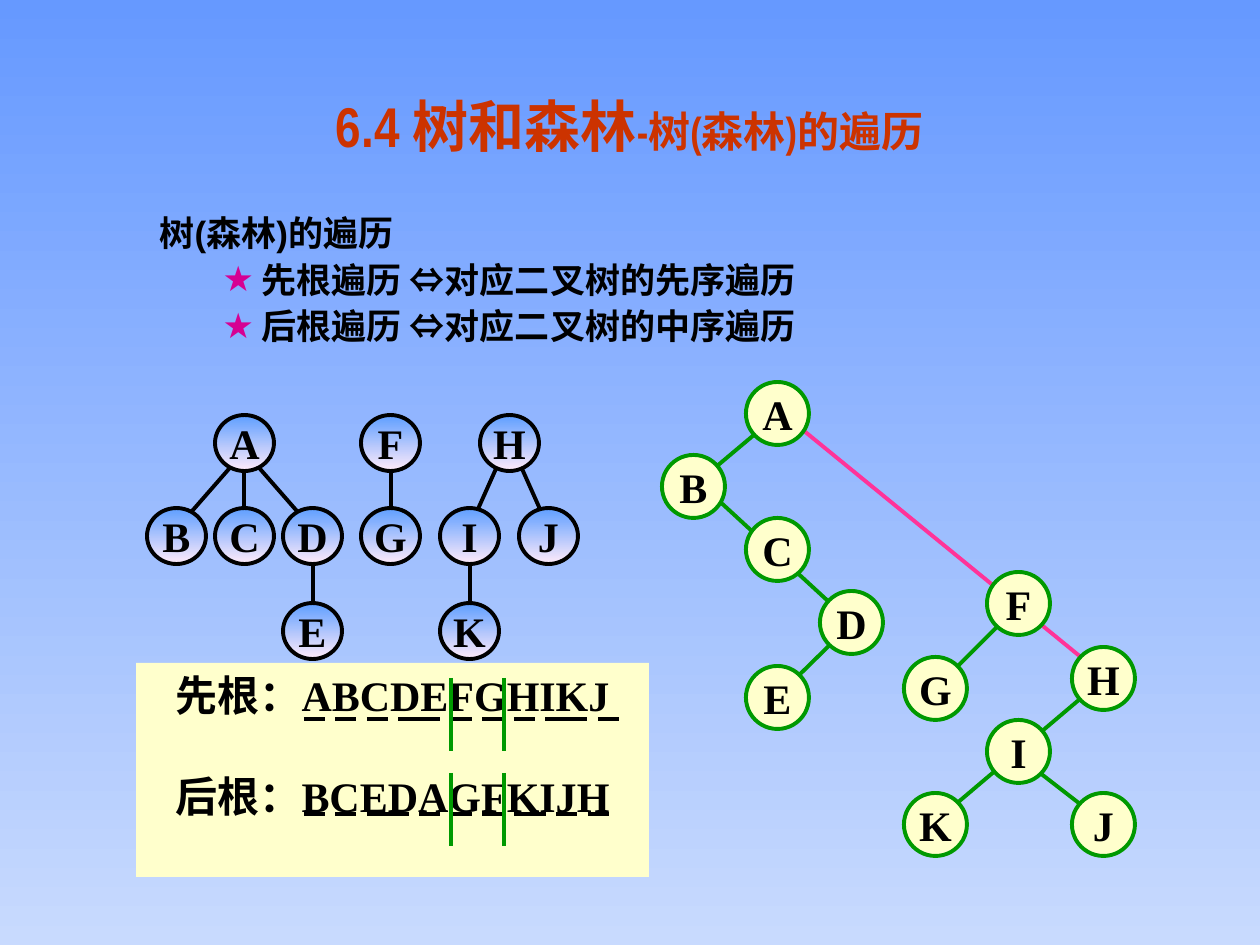
import dataclasses

import lxml.etree
import pptx
import pptx.dml.color
import pptx.enum.dml
import pptx.enum.shapes
import pptx.enum.text
import pptx.oxml.ns
import pptx.util

SCALE = 914400 / 126
Align = pptx.enum.text.PP_ALIGN
Anchor = pptx.enum.text.MSO_ANCHOR
Shape = pptx.enum.shapes.MSO_SHAPE


@dataclasses.dataclass(frozen=True)
class Theme:
    """Colours, fonts and type sizes of the slide."""
    sky: tuple = ("6699FF", "C8DAFE")
    ball: tuple = ("5E9EFF", "FFEBFA")
    cream: str = "FFFFCC"
    ink: str = "000000"
    green: str = "009900"
    pink: str = "FF3399"
    star: str = "D60093"
    red: str = "CC3300"
    serif: str = "Times New Roman"
    sans: str = "Arial"
    narrow: str = "Arial Narrow"
    head: int = 32
    node: int = 24
    body: int = 20
    line: float = 2.25


THEME = Theme()


def px(*vals):
    """Turn px lengths into EMU."""
    return [pptx.util.Emu(round(val * SCALE)) for val in vals]


def rgb(code):
    """Return a colour from its hex code."""
    return pptx.dml.color.RGBColor.from_string(code)


def paint(fill, hue):
    """Fill with one colour, or from top to bottom with a pair."""
    if isinstance(hue, str):
        fill.solid()
        fill.fore_color.rgb = rgb(hue)
        return
    fill.gradient()
    fill.gradient_angle = 270
    for stop, code in zip(fill.gradient_stops, hue):
        stop.color.rgb = rgb(code)


def style(run, size, face, hue):
    """Format a bold run."""
    run.font.size = pptx.util.Pt(size)
    run.font.name = face
    run.font.bold = True
    run.font.color.rgb = rgb(hue)


def place(item, box):
    """Move and size a placeholder."""
    item.left, item.top, item.width, item.height = px(*box)
    item.text_frame.auto_size = pptx.enum.text.MSO_AUTO_SIZE.NONE


def link(shapes, box, ends, hue):
    """Draw a straight line between two points of a box."""
    x, y, (a, b, c, d) = box[0], box[1], ends
    kind = pptx.enum.shapes.MSO_CONNECTOR.STRAIGHT
    line = shapes.add_connector(kind, *px(x + a, y + b, x + c, y + d))
    line.line.color.rgb = rgb(hue)
    line.line.width = pptx.util.Pt(THEME.line)
    lxml.etree.SubElement(line._element.spPr, pptx.oxml.ns.qn("a:effectLst"))


def title(item, box):
    """Fill the title in two type sizes."""
    place(item, box)
    frame = item.text_frame
    frame.vertical_anchor = Anchor.MIDDLE
    para = frame.paragraphs[0]
    para.alignment = Align.CENTER
    for text, size in (("6.4 树和森林", THEME.head), ("-树(森林)的遍历", THEME.node)):
        run = para.add_run()
        run.text = text
        style(run, size, THEME.narrow, THEME.red)


def bullet(para, left, hang, sign=None):
    """Set the indent of a paragraph and its star, if any."""
    props = para._p.get_or_add_pPr()
    props.set("marL", str(px(left)[0]))
    props.set("indent", str(px(-hang)[0]))
    name = pptx.oxml.ns.qn
    if sign is None:
        lxml.etree.SubElement(props, name("a:buNone"))
        return
    tint = lxml.etree.SubElement(props, name("a:buClr"))
    lxml.etree.SubElement(tint, name("a:srgbClr"), val=THEME.star)
    lxml.etree.SubElement(props, name("a:buFont"), typeface=THEME.sans)
    lxml.etree.SubElement(props, name("a:buChar"), char=sign)


def body(item, box):
    """Fill the list of traversals."""
    place(item, box)
    frame = item.text_frame
    serif, sans = THEME.serif, THEME.sans
    rows = [[("树(森林)的遍历", sans)]]
    for root, order in (("先根", "先序"), ("后根", "中序")):
        rows.append([(f"{root}遍历 ", serif), ("⇔", sans),
                     (f"对应二叉树的{order}遍历", serif)])
    for rank, row in enumerate(rows):
        para = frame.add_paragraph() if rank else frame.paragraphs[0]
        if rank:
            para.level = 1
            bullet(para, 102, 39, "★")
        else:
            bullet(para, 48, 48)
        para.line_spacing = 0.9
        para.space_before = pptx.util.Pt(5 if rank else 0)
        for text, face in row:
            run = para.add_run()
            run.text = text
            style(run, THEME.body, face, THEME.ink)


def graph(slide, box, size, nodes, edges, hue, fill):
    """Draw a group of lines and the lettered nodes over them."""
    shapes = slide.shapes.add_group_shape().shapes
    for *ends, tint in edges:
        link(shapes, box, ends, tint)
    for text, (x, y) in nodes.items():
        ball = shapes.add_shape(Shape.OVAL, *px(box[0] + x, box[1] + y, *size))
        ball.shadow.inherit = False
        paint(ball.fill, fill)
        ball.line.color.rgb = rgb(hue)
        ball.line.width = pptx.util.Pt(THEME.line)
        frame = ball.text_frame
        frame.word_wrap = False
        frame.vertical_anchor = Anchor.MIDDLE
        para = frame.paragraphs[0]
        para.text = text
        para.alignment = Align.CENTER
        style(para.runs[0], THEME.node, THEME.serif, THEME.ink)


def forest(slide, box):
    """Draw the three trees of the forest."""
    rows = (("AFH", (68, 214, 333)), ("BCDGIJ", (0, 68, 136, 214, 293, 372)),
            ("EK", (136, 293)))
    nodes = {key: (x, y) for (keys, cols), y in zip(rows, (0, 93, 188))
             for key, x in zip(keys, cols)}
    ends = [(372, 47, 401, 112), (352, 47, 323, 112), (107, 47, 156, 103),
            (88, 47, 39, 103), (244, 47, 244, 103), (97, 47, 97, 103),
            (323, 141, 323, 197), (166, 141, 166, 197)]
    edges = [(*end, THEME.ink) for end in ends]
    graph(slide, box, (59, 56), nodes, edges, THEME.ink, THEME.ball)


def binary(slide, box):
    """Draw the binary tree that matches the forest."""
    nodes = {"A": (84, 0), "B": (0, 73), "C": (84, 136), "D": (158, 209),
             "E": (84, 284), "F": (325, 190), "G": (242, 275), "H": (410, 265),
             "I": (325, 338), "K": (242, 411), "J": (410, 411)}
    ends = [(179, 252, 126, 304), (42, 105, 179, 231), (105, 42, 42, 95),
            (378, 391, 431, 432), (431, 306, 294, 422), (347, 233, 284, 296)]
    edges = [(136, 44, 431, 285, THEME.pink)]
    edges += [(*end, THEME.green) for end in ends]
    graph(slide, box, (63, 63), nodes, edges, THEME.green, THEME.cream)


def panel(slide, box):
    """Draw the panel of visiting orders with its marks."""
    shapes = slide.shapes
    card = shapes.add_shape(Shape.RECTANGLE, *px(*box))
    card.shadow.inherit = False
    paint(card.fill, THEME.cream)
    card.line.fill.background()
    frame = card.text_frame
    frame.word_wrap = True
    frame.vertical_anchor = Anchor.TOP
    frame.text = "先根：ABCDEFGHIKJ\n后根：BCEDAGFKIJH"
    for para, gap in zip(frame.paragraphs, (0, 29)):
        para.alignment = Align.CENTER
        para.space_before = pptx.util.Pt(gap)
        style(para.runs[0], THEME.node, THEME.serif, THEME.ink)
    rows = ((21, 21, 21, 42, 21, 21, 21, 42, 21),
            (21, 21, 42, 21, 21, 21, 32, 21, 21))
    for rank, row in enumerate(rows):
        top, x = rank * 95, 168
        for wide in row:
            link(shapes, box, (x, top + 56, x + wide, top + 56), THEME.ink)
            x += wide + 10.5
        for x in (315, 368):
            link(shapes, box, (x, top + 15, x, top + 88), THEME.green)


def main():
    """Build the slide and save it."""
    deck = pptx.Presentation()
    deck.slide_width, deck.slide_height = px(1260, 945)
    slide = deck.slides.add_slide(deck.slide_layouts[1])
    paint(slide.background.fill, THEME.sky)
    title(slide.shapes.title, (94, 47, 1071, 157))
    body(slide.placeholders[1], (147, 210, 1092, 174))
    forest(slide, (147, 415))
    binary(slide, (662, 382))
    panel(slide, (136, 663, 513, 214))
    deck.save("out.pptx")


if __name__ == "__main__":
    main()
